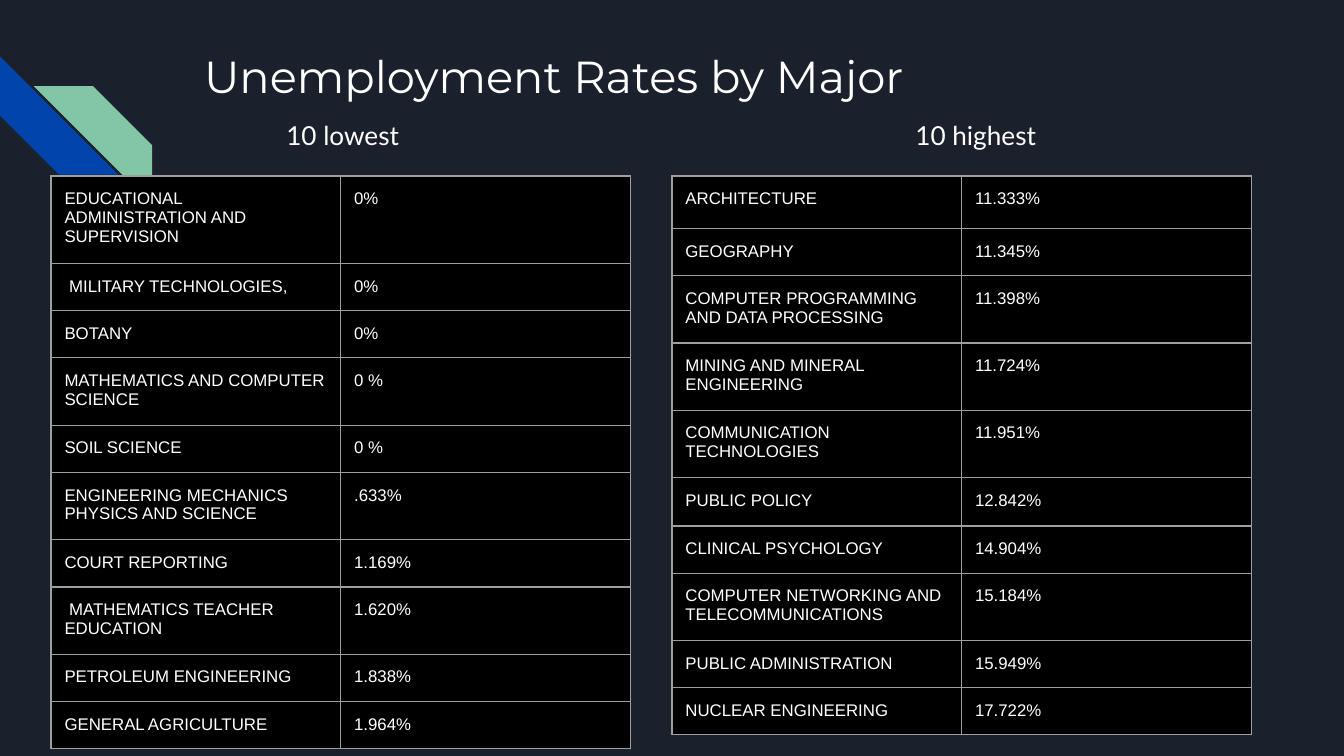
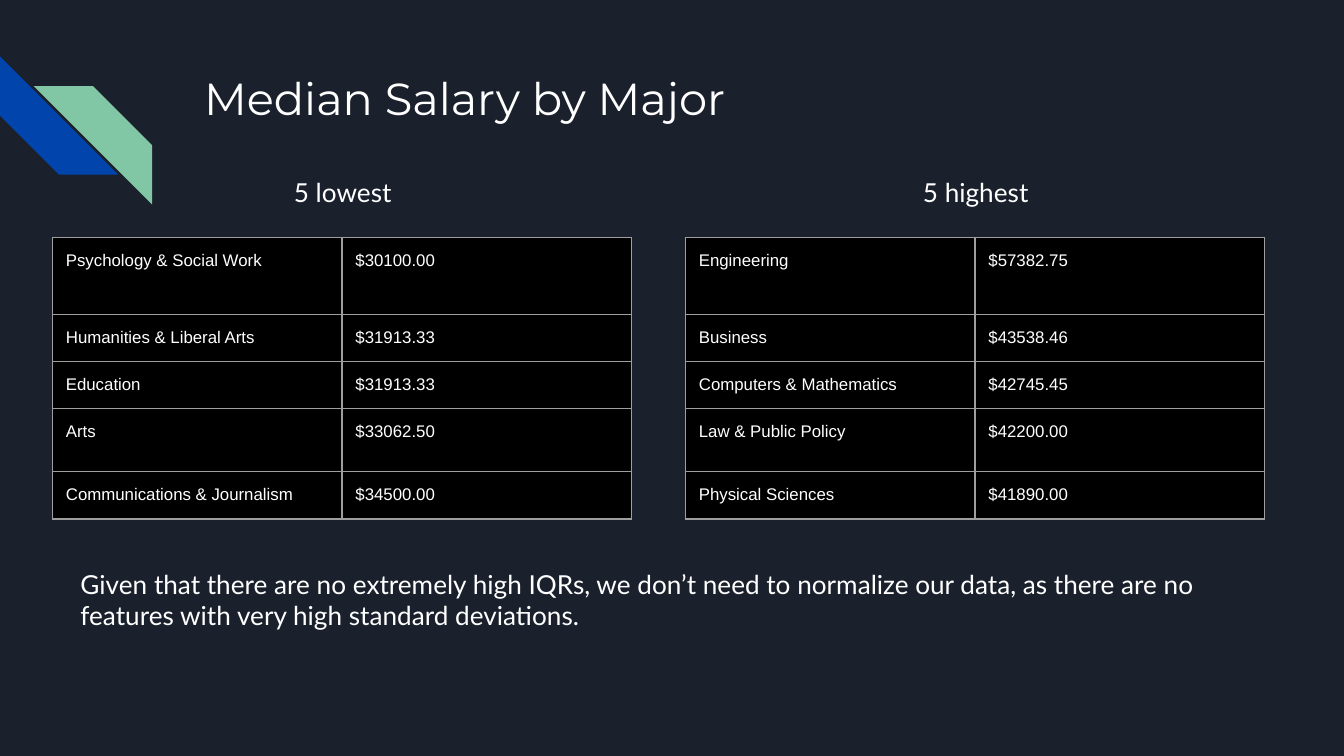
from dataclasses import dataclass

from lxml import etree
from pptx import Presentation
from pptx.dml.color import RGBColor
from pptx.enum.shapes import MSO_SHAPE
from pptx.enum.text import MSO_ANCHOR, PP_ALIGN
from pptx.oxml.ns import qn
from pptx.util import Emu, Inches, Pt

STRIPE = MSO_SHAPE.DIAGONAL_STRIPE
TOP = MSO_ANCHOR.TOP
LEFT, CENTER = PP_ALIGN.LEFT, PP_ALIGN.CENTER

SLIDE_WIDTH, SLIDE_HEIGHT = Inches(10), Inches(5.625)
GRID_COLUMNS = 100
UNIT = SLIDE_WIDTH // GRID_COLUMNS  # side of one square grid cell


@dataclass(frozen=True)
class Style:
    font: str
    size: int


@dataclass(frozen=True)
class Theme:
    background: str = "1B212C"
    blue: str = "0145AC"
    green: str = "82C7A5"
    text: str = "FFFFFF"
    cell: str = "000000"
    border: str = "9E9E9E"
    border_width: float = 0.75
    title: Style = Style("Montserrat", 24)
    body: Style = Style("Lato", 14)
    table: Style = Style("Arial", 9)


@dataclass(frozen=True)
class Box:
    """A region in grid columns and rows."""
    left: float
    top: float
    width: float
    height: float

    def shifted(self, columns=0, rows=0):
        return Box(self.left + columns, self.top + rows, self.width, self.height)

    def emu(self):
        return [grid(n) for n in (self.left, self.top, self.width, self.height)]


THEME = Theme()
INSET = 1
EMBLEM = Box(0, 4.2, 8.8, 8.8)
TITLE = Box(14.2, 0, 77, 6.6)
HEADING = Box(8.6, 0, 33.8, 4.4)
HEADING_STEP = 47.1
TABLE_WIDTH = 43.1
NOTE = Box(5, 41.3, 89.2, 9.9)

LOWEST_UNEMPLOYMENT = [
    ("EDUCATIONAL ADMINISTRATION AND SUPERVISION", "0%"),
    (" MILITARY TECHNOLOGIES,", "0%"),
    ("BOTANY", "0%"),
    ("MATHEMATICS AND COMPUTER SCIENCE", "0 %"),
    ("SOIL SCIENCE", "0 %"),
    ("ENGINEERING MECHANICS PHYSICS AND SCIENCE", ".633%"),
    ("COURT REPORTING", "1.169%"),
    (" MATHEMATICS TEACHER EDUCATION", "1.620%"),
    ("PETROLEUM ENGINEERING", "1.838%"),
    ("GENERAL AGRICULTURE", "1.964%"),
]
HIGHEST_UNEMPLOYMENT = [
    ("ARCHITECTURE", "11.333%"),
    ("GEOGRAPHY", "11.345%"),
    ("COMPUTER PROGRAMMING AND DATA PROCESSING", "11.398%"),
    ("MINING AND MINERAL ENGINEERING", "11.724%"),
    ("COMMUNICATION TECHNOLOGIES", "11.951%"),
    ("PUBLIC POLICY", "12.842%"),
    ("CLINICAL PSYCHOLOGY", "14.904%"),
    ("COMPUTER NETWORKING AND TELECOMMUNICATIONS", "15.184%"),
    ("PUBLIC ADMINISTRATION", "15.949%"),
    ("NUCLEAR ENGINEERING", "17.722%"),
]
LOWEST_SALARY = [
    ("Psychology & Social Work", "$30100.00"),
    ("Humanities & Liberal Arts", "$31913.33"),
    ("Education", "$31913.33"),
    ("Arts", "$33062.50"),
    ("Communications & Journalism", "$34500.00"),
]
HIGHEST_SALARY = [
    ("Engineering", "$57382.75"),
    ("Business", "$43538.46"),
    ("Computers & Mathematics", "$42745.45"),
    ("Law & Public Policy", "$42200.00"),
    ("Physical Sciences", "$41890.00"),
]
LOWEST_UNEMPLOYMENT_ROWS = [6, 3.3, 3.3, 4.7, 3.3, 4.7, 3.3, 4.7, 3.3, 3.3]
HIGHEST_UNEMPLOYMENT_ROWS = [3.9, 3.5, 3, 4.7, 3.1, 3.6, 2.5, 4.2, 2.8, 2.8]
SALARY_ROWS = [5.7, 3.5, 3, 4.7, 3.1]


def grid(cells):
    return Emu(round(cells * UNIT))


def rgb(color):
    return RGBColor.from_string(color)


def set_insets(target):
    """Give a text frame or a table cell the same inset on every side."""
    target.margin_left = target.margin_right = grid(INSET)
    target.margin_top = target.margin_bottom = grid(INSET)


def style_paragraph(paragraph, style, align=LEFT):
    paragraph.alignment = align
    paragraph.font.name = style.font
    paragraph.font.size = Pt(style.size)
    paragraph.font.color.rgb = rgb(THEME.text)


def add_text(slide, box, text, style, align=LEFT):
    frame = slide.shapes.add_textbox(*box.emu()).text_frame
    frame.word_wrap = True
    frame.vertical_anchor = TOP
    set_insets(frame)
    frame.text = text
    style_paragraph(frame.paragraphs[0], style, align)


def add_stripe(slide, box, color):
    stripe = slide.shapes.add_shape(STRIPE, *box.emu())
    stripe.adjustments[0] = 0.5
    stripe.shadow.inherit = False
    stripe.fill.solid()
    stripe.fill.fore_color.rgb = rgb(color)
    stripe.line.fill.background()
    return stripe


def add_emblem(slide, box):
    """Two interlocking diagonal stripes at the left edge."""
    add_stripe(slide, box, THEME.blue).rotation = 270
    green = add_stripe(slide, box.shifted(box.width / 3.5, box.height / 4), THEME.green)
    green.element.spPr.get_or_add_xfrm().set("flipH", "1")


def add_borders(cell):
    properties = cell._tc.get_or_add_tcPr()
    for side in ("lnL", "lnR", "lnT", "lnB"):
        line = etree.SubElement(properties, qn(f"a:{side}"),
                                w=str(Pt(THEME.border_width)))
        fill = etree.SubElement(line, qn("a:solidFill"))
        etree.SubElement(fill, qn("a:srgbClr"), val=THEME.border)


def add_ranking(slide, left, top, majors, row_heights):
    """Table of majors and their values, in two equal columns."""
    box = Box(left, top, TABLE_WIDTH, sum(row_heights))
    table = slide.shapes.add_table(len(majors), 2, *box.emu()).table
    table.first_row = table.horz_banding = False
    for column in table.columns:
        column.width = grid(box.width / 2)
    for row, height, entry in zip(table.rows, row_heights, majors):
        row.height = grid(height)
        for cell, text in zip(row.cells, entry):
            set_insets(cell)
            add_borders(cell)
            cell.fill.solid()
            cell.fill.fore_color.rgb = rgb(THEME.cell)
            cell.text = text
            style_paragraph(cell.text_frame.paragraphs[0], THEME.table)


def add_comparison_slide(deck, title, title_top, heading_top, table_top,
                         table_lefts, rankings):
    """Title over two headed rankings, each (heading, majors, row heights)."""
    slide = deck.slides.add_slide(deck.slide_layouts[6])
    add_emblem(slide, EMBLEM)
    add_text(slide, TITLE.shifted(rows=title_top), title, THEME.title)
    for side, (heading, majors, row_heights) in enumerate(rankings):
        add_ranking(slide, table_lefts[side], table_top, majors, row_heights)
        heading_box = HEADING.shifted(side * HEADING_STEP, heading_top)
        add_text(slide, heading_box, heading, THEME.body, CENTER)
    return slide


def main():
    deck = Presentation()
    deck.slide_width, deck.slide_height = SLIDE_WIDTH, SLIDE_HEIGHT
    backdrop = deck.slide_master.background.fill
    backdrop.solid()
    backdrop.fore_color.rgb = rgb(THEME.background)

    add_comparison_slide(
        deck, "Unemployment Rates by Major",
        title_top=2.6, heading_top=7.9, table_top=13.1, table_lefts=(3.8, 50),
        rankings=[
            ("10 lowest", LOWEST_UNEMPLOYMENT, LOWEST_UNEMPLOYMENT_ROWS),
            ("10 highest", HIGHEST_UNEMPLOYMENT, HIGHEST_UNEMPLOYMENT_ROWS),
        ])
    salary = add_comparison_slide(
        deck, "Median Salary by Major",
        title_top=4.3, heading_top=12.1, table_top=17.7, table_lefts=(3.9, 51),
        rankings=[
            ("5 lowest", LOWEST_SALARY, SALARY_ROWS),
            ("5 highest", HIGHEST_SALARY, SALARY_ROWS),
        ])
    add_text(salary, NOTE,
             "Given that there are no extremely high IQRs, we don’t need to "
             "normalize our data, as there are no features with very high "
             "standard deviations.", THEME.body)
    deck.save("out.pptx")


if __name__ == "__main__":
    main()
